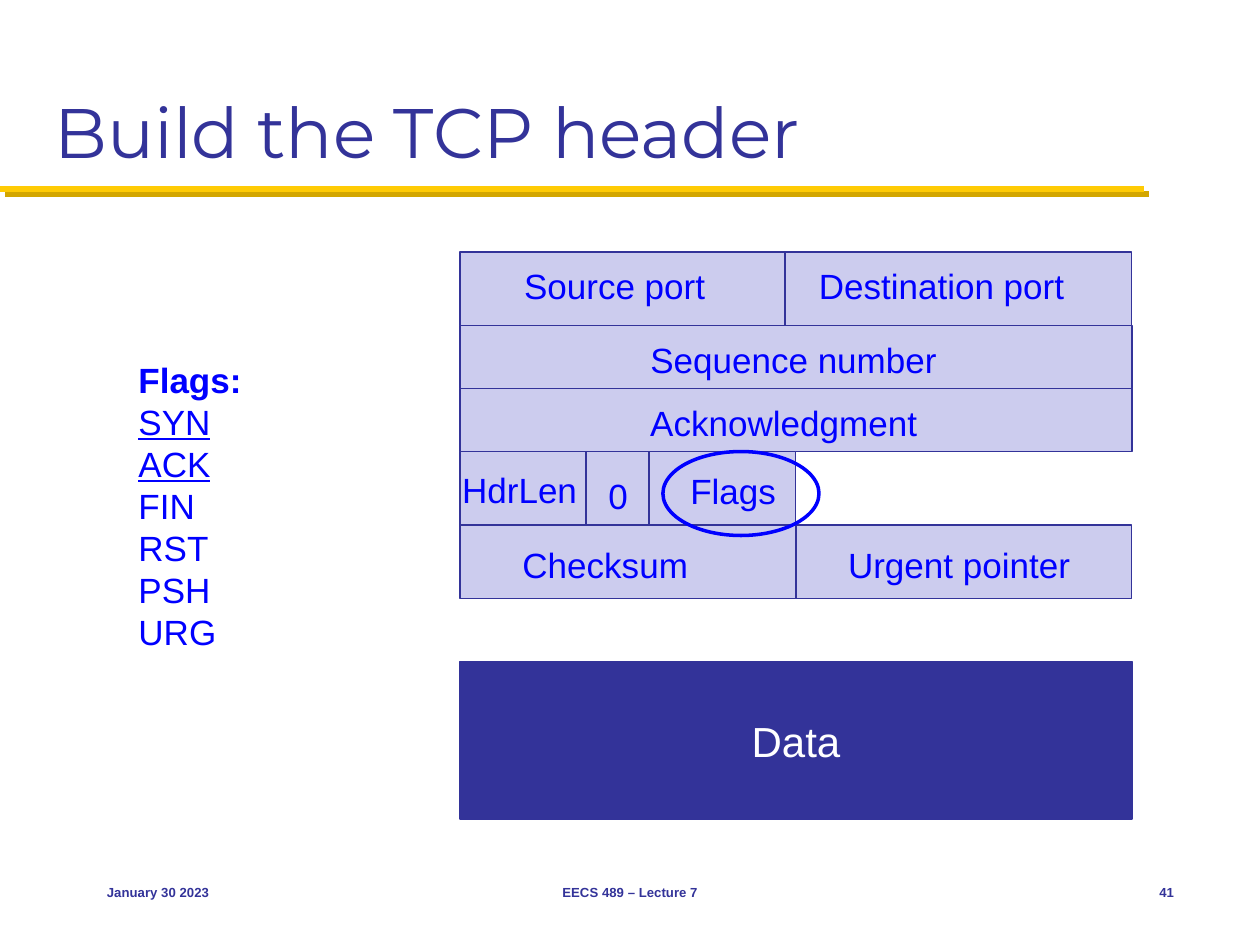
from lxml.etree import SubElement
from pptx import Presentation
from pptx.dml.color import RGBColor
from pptx.enum.shapes import MSO_CONNECTOR, MSO_SHAPE
from pptx.enum.text import MSO_ANCHOR, PP_ALIGN
from pptx.oxml.ns import qn
from pptx.util import Pt

THEME = {
    "navy": "333399", "blue": "0000FF", "pale": "CCCCEE",
    "white": "FFFFFF", "gold": "FFCB05", "shade": "D3A600",
    "head": 40, "data": 24, "body": 20, "foot": 7.5,
    "font": "Arial", "title": "Montserrat",
}
LEFT, TOP, WIDE = 262.8, 144, 384
ROWS = [
    (42, [185.8, 198.2]),
    (36, [WIDE]),
    (36, [WIDE]),
    (42, [WIDE / 2]),
    (42, [WIDE / 2, WIDE / 2]),
]
SPLITS = [72, 108]
FLAG_ROW = 3
LABELS = [
    ("Source port", 292.4, 147.6, 122),
    ("Destination port", 460.8, 147.6, 159),
    ("Sequence number", 364.5, 190, 182),
    ("Acknowledgment", 364.5, 226, 172),
    ("Flags", 387.4, 264.7, 64),
    ("0", 340.6, 267.6, 26),
    ("Checksum", 291.5, 306.9, 113),
    ("Urgent pointer", 477.5, 306.9, 145),
]
FLAGS = [
    ("Flags:", {"bold": True}),
    ("SYN", {"underline": True}),
    ("ACK", {"underline": True}),
    ("FIN", {}), ("RST", {}), ("PSH", {}), ("URG", {}),
]
FOOT = [
    ("January 30 2023", 54, 150, PP_ALIGN.LEFT),
    ("EECS 489 – Lecture 7", 246, 228, PP_ALIGN.CENTER),
    ("41", 630, 48, PP_ALIGN.RIGHT),
]

deck = Presentation()
deck.slide_width, deck.slide_height = Pt(720), Pt(540)
slide = deck.slides.add_slide(deck.slide_layouts[6])
shapes = slide.shapes


def color(name):
    return RGBColor.from_string(THEME[name])


def write(text, box=None, shape=None, size="body", font="font", ink="blue",
          fill=None, bold=False, align=PP_ALIGN.LEFT,
          anchor=MSO_ANCHOR.TOP):
    shape = shape or shapes.add_textbox(*map(Pt, box))
    if fill:
        shape.fill.solid()
        shape.fill.fore_color.rgb = color(fill)
    frame = shape.text_frame
    frame.word_wrap = True
    frame.vertical_anchor = anchor
    lines = [(text, {})] if isinstance(text, str) else text
    for i, (words, style) in enumerate(lines):
        para = frame.add_paragraph() if i else frame.paragraphs[0]
        para.alignment = align
        run = para.add_run()
        run.text = words
        face = run.font
        face.name, face.size = THEME[font], Pt(THEME[size])
        face.color.rgb = color(ink)
        face.bold = style.get("bold", bold)
        face.underline = style.get("underline", False)


def draw(kind, box, line="navy", width=0.75, fill=None):
    shape = shapes.add_shape(kind, *map(Pt, box))
    shape.shadow.inherit = False
    if fill:
        shape.fill.solid()
        shape.fill.fore_color.rgb = color(fill)
    else:
        shape.fill.background()
    shape.line.color.rgb = color(line)
    shape.line.width = Pt(width)
    return shape


def rule(ends, ink="navy", width=0.75, shade=None):
    line = shapes.add_connector(MSO_CONNECTOR.STRAIGHT, *map(Pt, ends))
    line.line.color.rgb = color(ink)
    line.line.width = Pt(width)
    effects = SubElement(line._element.spPr, qn("a:effectLst"))
    if shade:
        cast = SubElement(effects, qn("a:outerShdw"), dist=str(Pt(4.2)),
                          dir="2700000", algn="ctr", rotWithShape="0")
        SubElement(cast, qn("a:srgbClr"), val=THEME[shade])


rule((0, 108, 653.8, 108), ink="gold", width=3.5, shade="shade")
write("Build the TCP header", (24, 12, 672, 90), size="head", font="title",
      ink="navy", anchor=MSO_ANCHOR.BOTTOM)

y = TOP
for i, (high, cells) in enumerate(ROWS):
    x = LEFT
    for wide in cells:
        draw(MSO_SHAPE.RECTANGLE, (x, y, wide, high), fill="pale")
        x += wide
    if i == FLAG_ROW:
        for gap in SPLITS:
            rule((LEFT + gap, y, LEFT + gap, y + high))
    y += high

write("HdrLen", (257, 264, 84, 31))
for text, x, top, wide in LABELS:
    write(text, (x, top, wide, 31), fill="pale")

data = draw(MSO_SHAPE.RECTANGLE, (LEFT, y + 36, WIDE, 90), fill="navy")
write("Data", shape=data, size="data", ink="white", align=PP_ALIGN.CENTER,
      anchor=MSO_ANCHOR.MIDDLE)
draw(MSO_SHAPE.OVAL, (378.8, 258, 89.2, 48), line="blue", width=2)
write(FLAGS, (72, 201.2, 168, 201))

for text, x, wide, align in FOOT:
    write(text, (x, 492, wide, 36), size="foot", ink="navy", bold=True,
          align=align, anchor=MSO_ANCHOR.MIDDLE)

deck.save("out.pptx")
